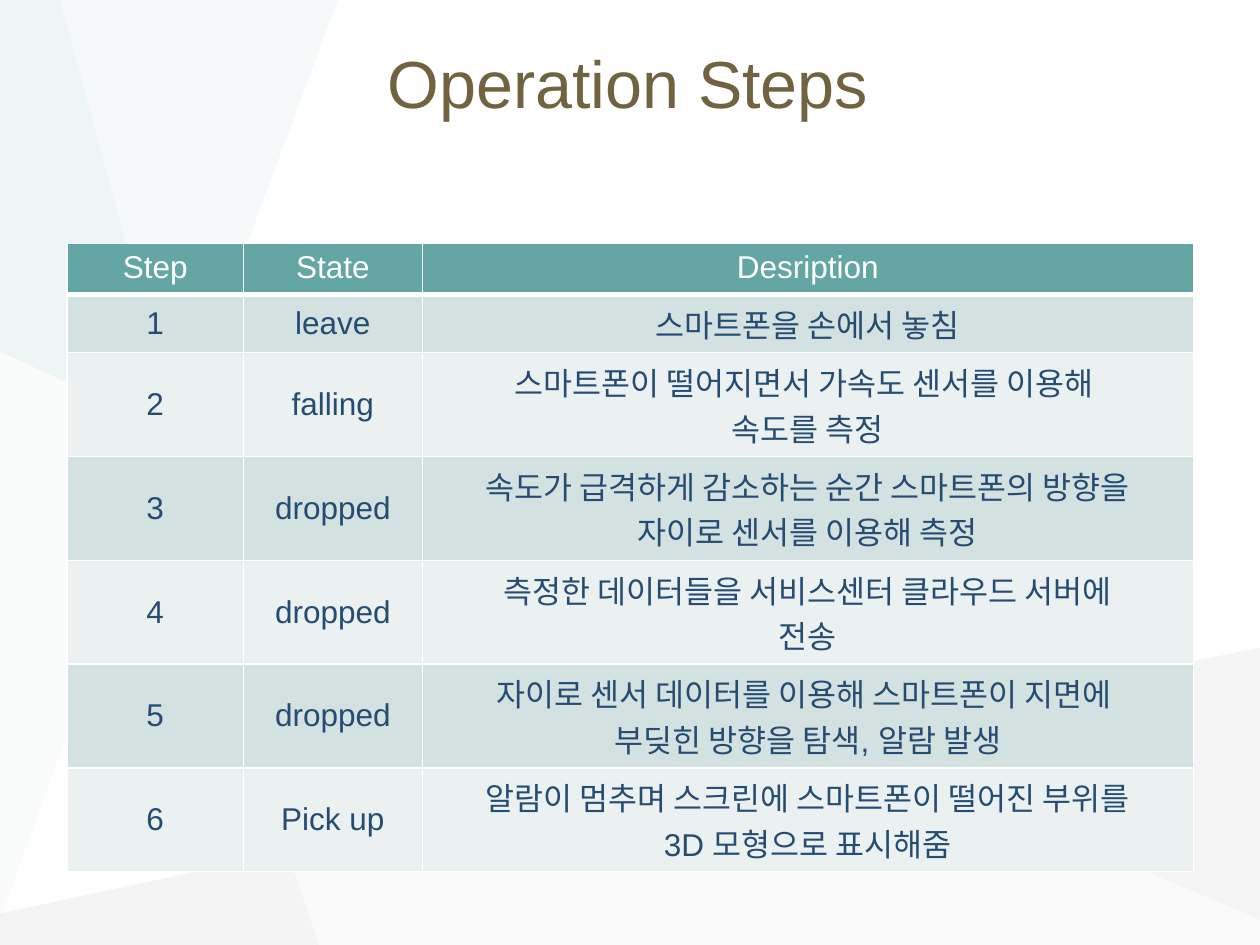
import pptx
import pptx.util
import pptx.dml.color
import pptx.enum.text
import pptx.oxml
import lxml.etree

Pt = pptx.util.Pt
RGB = pptx.dml.color.RGBColor
PP_ALIGN = pptx.enum.text.PP_ALIGN
ANCHOR = pptx.enum.text.MSO_ANCHOR
NS = "http://schemas.openxmlformats.org/drawingml/2006/main"

WHITE = RGB(0xFF, 0xFF, 0xFF)
BROWN = RGB(0x71, 0x63, 0x40)
NAVY = RGB(0x26, 0x4C, 0x72)
TEAL = RGB(0x63, 0xA6, 0xA4)
BAND_DARK = RGB(0xD3, 0xE1, 0xE0)
BAND_LIGHT = RGB(0xEA, 0xF1, 0xF0)
MIST = RGB(0xF3, 0xF2, 0xF2)
GREY = RGB(0xB6, 0xB8, 0xBA)
SILVER = RGB(0xC6, 0xC8, 0xCA)
ICE = RGB(0xE0, 0xED, 0xED)
SEA = RGB(0xC1, 0xDB, 0xDB)

W, H = 720, 540
# Corners shared by the background facets
HUB, LOW, EAST = (101, 247.2), (164.2, 487), (474.7, 421.2)
TOP, LEFT = (34.2, 0), (0, 200.9)
FOOT, RIGHT_LOW = (182, H), (W, 525.4)

# Colour, opacity in percent, corners
FACETS = [
    (MIST, 26, [HUB, LOW, EAST]),
    (GREY, 15, [LOW, (0, 522), (0, H), FOOT]),
    (ICE, 31, [(193, 0), TOP, HUB]),
    (SILVER, 17, [(W, 370), EAST, RIGHT_LOW]),
    (GREY, 6, [EAST, LOW, FOOT, (W, H), RIGHT_LOW]),
    (SEA, 27, [TOP, (0, 0), LEFT, HUB]),
    (SEA, 8, [LEFT, (0, 525.4), HUB]),
]

COLUMNS = [100.8, 102.24, 440.64]
ROWS = [29.2] * 2 + [50.4] * 5
STEPS = [
    ("Step", "State", "Desription"),
    ("1", "leave", "스마트폰을 손에서 놓침"),
    ("2", "falling", "스마트폰이 떨어지면서 가속도 센서를 이용해\u00a0\n속도를 측정"),
    ("3", "dropped", "속도가 급격하게 감소하는 순간 스마트폰의 방향을\n자이로\u00a0센서를 이용해 측정"),
    ("4", "dropped", "측정한 데이터들을 서비스센터 클라우드 서버에\n전송"),
    ("5", "dropped", "자이로 센서 데이터를 이용해 스마트폰이 지면에 \n부딪힌 방향을 탐색, 알람 발생"),
    ("6", "Pick up", "알람이 멈추며 스크린에 스마트폰이 떨어진 부위를\n3D 모형으로 표시해줌"),
]


def apply(obj, values):
    for name, value in values.items():
        setattr(obj, name, value)


def write_text(tf, text, size, color):
    tf.text = text
    for p in tf.paragraphs:
        p.alignment = PP_ALIGN.CENTER
        for r in p.runs:
            apply(r.font, {"size": Pt(size), "name": "Arial", "bold": False})
            r.font.color.rgb = color


def add_facet(slide, color, opacity, corners):
    points = [(Pt(x), Pt(y)) for x, y in corners]
    builder = slide.shapes.build_freeform(*points[0])
    builder.add_line_segments(points[1:], close=True)
    sp = builder.convert_to_shape()
    sp.shadow.inherit = False
    sp.line.fill.background()
    sp.fill.solid()
    sp.fill.fore_color.rgb = color
    clr = sp.fill._xPr.find(f".//{{{NS}}}srgbClr")
    lxml.etree.SubElement(clr, f"{{{NS}}}alpha", val=str(opacity * 1000))


def add_title(slide, text):
    sp = slide.shapes.title
    apply(sp, {"left": Pt(25.2), "top": Pt(10), "width": Pt(667.5), "height": Pt(74)})
    apply(sp.text_frame, {"vertical_anchor": ANCHOR.MIDDLE, "word_wrap": True})
    write_text(sp.text_frame, text, 38, BROWN)
    slide.shapes._spTree.append(sp._element)  # in front of the facets


def set_borders(cell, bottom):
    tcPr = cell._tc.get_or_add_tcPr()
    widths = {"lnL": 1, "lnR": 1, "lnT": 1, "lnB": bottom}
    for i, (tag, width) in enumerate(widths.items()):
        tcPr.insert(i, pptx.oxml.parse_xml(
            f'<a:{tag} xmlns:a="{NS}" w="{Pt(width)}"><a:solidFill>'
            f'<a:srgbClr val="{WHITE}"/></a:solidFill></a:{tag}>'))


def add_steps_table(slide):
    table = slide.shapes.add_table(len(ROWS), len(COLUMNS), Pt(38.3), Pt(139),
                                   Pt(sum(COLUMNS)), Pt(sum(ROWS))).table
    for column, width in zip(table.columns, COLUMNS):
        column.width = Pt(width)
    for i, (row, height) in enumerate(zip(table.rows, ROWS)):
        row.height = Pt(height)
        header = i == 0
        fill = TEAL if header else BAND_DARK if i % 2 else BAND_LIGHT
        for cell, text in zip(row.cells, STEPS[i]):
            write_text(cell.text_frame, text, 18, WHITE if header else NAVY)
            cell.vertical_anchor = ANCHOR.TOP if header else ANCHOR.MIDDLE
            cell.fill.solid()
            cell.fill.fore_color.rgb = fill
            set_borders(cell, 3 if header else 1)


def main():
    prs = pptx.Presentation()
    apply(prs, {"slide_width": Pt(W), "slide_height": Pt(H)})
    slide = prs.slides.add_slide(prs.slide_layouts[5])

    # Background facets
    for facet in FACETS:
        add_facet(slide, *facet)

    # Title and table
    add_title(slide, "Operation Steps")
    add_steps_table(slide)
    prs.save("out.pptx")


if __name__ == "__main__":
    main()
